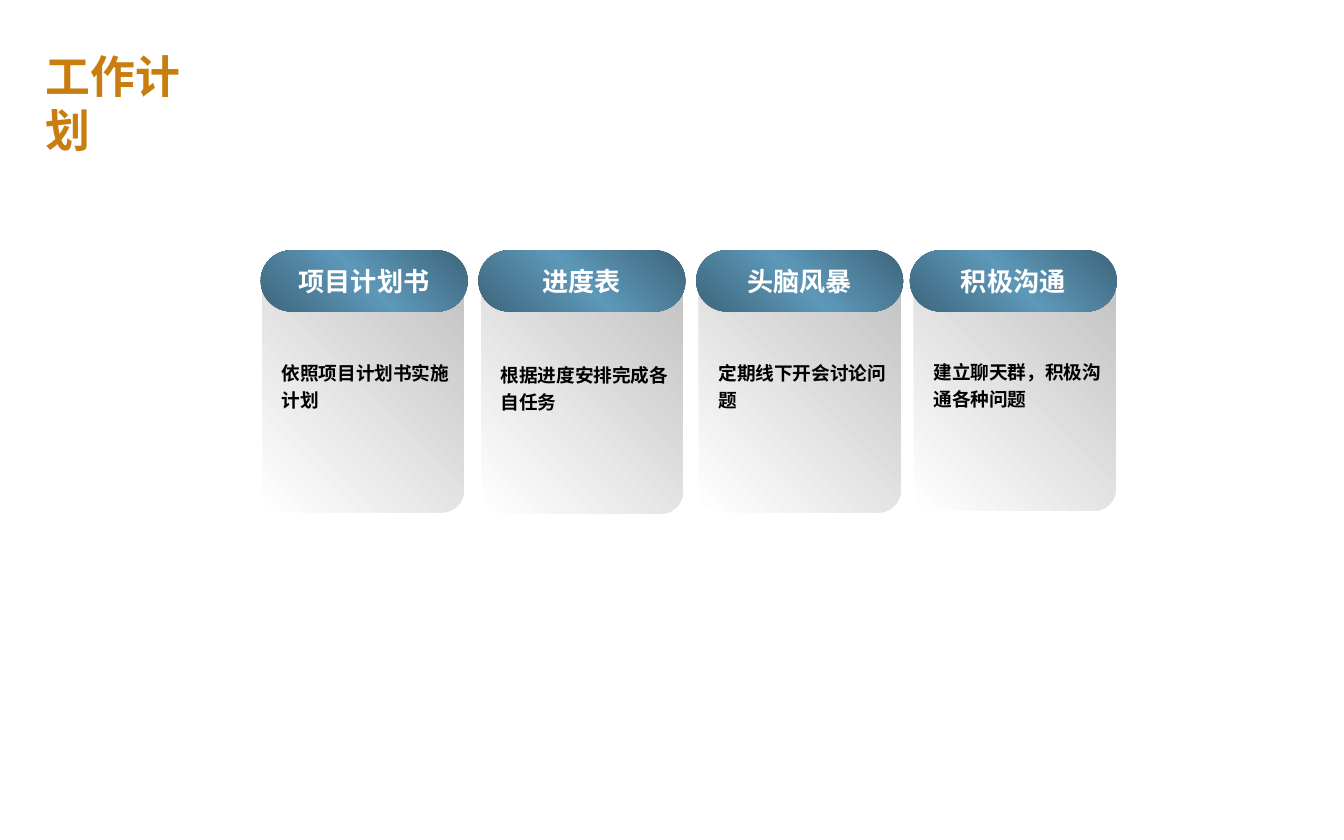
import copy
import pptx
import pptx.util
import pptx.dml.color
import pptx.enum.shapes
import pptx.enum.text

Pt = pptx.util.Pt
SHAPE = pptx.enum.shapes.MSO_SHAPE.ROUNDED_RECTANGLE
ALIGN = pptx.enum.text.PP_ALIGN
ANCHOR = pptx.enum.text.MSO_ANCHOR
W, H = pptx.util.Inches(10), pptx.util.Inches(6.25)
FONT = "Noto Sans CJK SC"
COLORS = {
    "title": "C87D0E",
    "white": "FFFFFF",
    "silver": "C0C0C0",
    "navy": "3E657B",
    "sky": "5D98B9",
    "ink": "000000",
}
CARDS = [
    (19.4, 0.1, 0.8, "项目计划书", ["依照项目计划书实施", "计划"]),
    (35.6, 0.2, 0.96, "进度表", ["根据进度安排完成各", "自任务"]),
    (51.8, 0.2, 0.8, "头脑风暴", ["定期线下开会讨论问", "题"]),
    (67.7, 0.3, 0.64, "积极沟通", ["建立聊天群，积极沟", "通各种问题"]),
]


def share(x, y, w, h):
    return [int(v * side / 100) for v, side in zip((x, y, w, h), (W, H, W, H))]


def rgb(name):
    return pptx.dml.color.RGBColor.from_string(COLORS[name])


def write(s, lines, size, color, align, anchor, spacing=1.0):
    tf = s.text_frame
    tf.word_wrap = False
    tf.vertical_anchor = anchor
    for i, line in enumerate(lines):
        p = tf.add_paragraph() if i else tf.paragraphs[0]
        p.alignment = align
        p.line_spacing = spacing
        r = p.add_run()
        r.text = line
        r.font.size = Pt(size)
        r.font.bold = True
        r.font.name = FONT
        r.font.color.rgb = rgb(color)
        ea = r.font._element.makeelement(pptx.oxml.ns.qn("a:ea"), {"typeface": FONT})
        r.font._element.append(ea)


def gradient_shape(sp, box, radius, names):
    s = sp.add_shape(SHAPE, *box)
    s.adjustments[0] = radius
    s.shadow.inherit = False
    s.line.fill.background()
    s.fill.gradient()
    s.fill.gradient_angle = 45
    stops = s.fill._xPr.find(".//" + pptx.oxml.ns.qn("a:gsLst"))
    for _ in names[2:]:
        stops.append(copy.deepcopy(stops[0]))
    for i, (stop, name) in enumerate(zip(s.fill.gradient_stops, names)):
        stop.position = i / (len(names) - 1)
        stop.color.rgb = rgb(name)
    return s


def add_title(slide, box, text):
    s = slide.shapes.title
    s.left, s.top, s.width, s.height = box
    write(s, [text], 24, "title", ALIGN.LEFT, ANCHOR.TOP)
    s.text_frame.auto_size = pptx.enum.text.MSO_AUTO_SIZE.SHAPE_TO_FIT_TEXT


def add_card(sp, box, shift_x, shift_y, heading, lines):
    x, y, w, h = box
    panel_box = share(x + shift_x, y + shift_y, w * 0.975, h)
    panel = gradient_shape(sp, panel_box, 0.11, ["white", "silver"])
    write(panel, lines, 10, "ink", ALIGN.LEFT, ANCHOR.MIDDLE, 1.2)
    pill_box = share(x, y, w, h * 0.24)
    pill = gradient_shape(sp, pill_box, 0.5, ["navy", "sky", "navy"])
    write(pill, [heading], 14, "white", ALIGN.CENTER, ANCHOR.MIDDLE)


def main():
    prs = pptx.Presentation()
    prs.slide_width, prs.slide_height = W, H
    slide = prs.slides.add_slide(prs.slide_layouts[5])
    add_title(slide, share(2.4, 5, 15.3, 8), "工作计划")
    for left, shift_x, shift_y, heading, lines in CARDS:
        box = (left, 29.8, 15.4, 30.4)
        add_card(slide.shapes, box, shift_x, shift_y, heading, lines)
    prs.save("out.pptx")


if __name__ == "__main__":
    main()
